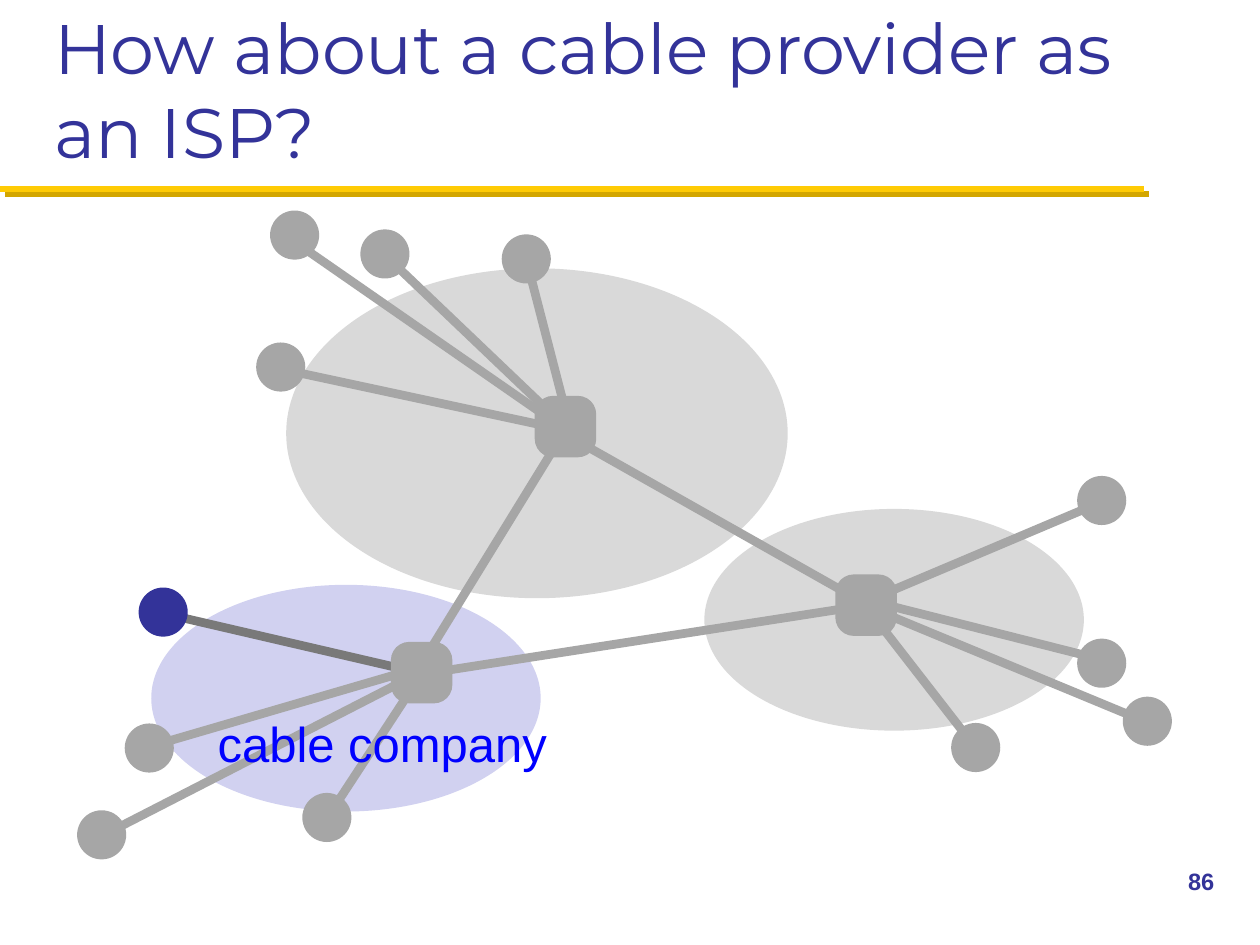
from lxml import etree
from pptx import Presentation
from pptx.dml.color import RGBColor
from pptx.enum.shapes import MSO_CONNECTOR as Link, MSO_SHAPE as Shape
from pptx.enum.text import MSO_ANCHOR as Anchor, PP_ALIGN as Align
from pptx.oxml.ns import qn
from pptx.util import Cm, Pt

NAVY = RGBColor(0x33, 0x33, 0x99)
BLUE = RGBColor(0x00, 0x00, 0xFF)
GOLD = RGBColor(0xFF, 0xCB, 0x05)
GRAY = RGBColor(0xA6, 0xA6, 0xA6)
DARK_GRAY = RGBColor(0x79, 0x79, 0x79)
PALE_GRAY = RGBColor(0xD9, 0xD9, 0xD9)
LAVENDER = RGBColor(0xD1, 0xD1, 0xF0)

HOST_SIZE = 0.99
ROUTER_SIZE = 1.24

NORTH = {
    "box": (5.77, 5.41, 10.11, 6.65), "fill": PALE_GRAY, "router": (5.63, 3.19),
    "hosts": [
        ((-0.11, 1.99), (-0.10, 2.03), (5.49, 3.23), GRAY, GRAY),
        ((0.17, -0.67), (0.18, -0.53), (5.41, 3.10), GRAY, GRAY),
        ((1.99, -0.29), (2.01, -0.25), (5.49, 3.07), GRAY, GRAY),
        ((4.84, -0.19), (4.88, -0.03), (5.74, 3.30), GRAY, GRAY),
    ],
}
EAST = {
    "box": (14.2, 10.26, 7.65, 4.47), "fill": PALE_GRAY, "router": (3.26, 1.94),
    "hosts": [
        ((8.01, -0.17), (7.98, -0.13), (3.15, 1.91), GRAY, GRAY),
        ((8.01, 3.11), (7.95, 3.02), (3.33, 1.85), GRAY, GRAY),
        ((8.93, 4.28), (8.97, 4.32), (3.20, 1.93), GRAY, GRAY),
        ((5.47, 4.81), (5.44, 4.78), (3.33, 2.06), GRAY, GRAY),
    ],
}
CABLE = {
    "box": (3.05, 11.79, 7.85, 4.57), "fill": LAVENDER, "router": (5.45, 1.77),
    "hosts": [
        ((0.24, 0.55), (0.18, 0.56), (5.31, 1.75), NAVY, DARK_GRAY),
        ((-0.04, 3.29), (-0.10, 3.28), (5.31, 1.70), GRAY, GRAY),
        ((-1.0, 5.04), (-1.09, 5.11), (5.26, 1.85), GRAY, GRAY),
        ((3.54, 4.69), (3.63, 4.57), (5.41, 1.85), GRAY, GRAY),
    ],
}
TRUNKS = [
    ((11.23, 8.66), (17.48, 12.19)),
    ((11.40, 8.66), (8.48, 13.41)),
    ((17.53, 12.19), (8.51, 13.59)),
]


def add_line(page, start, end, color, width):
    """Draw a straight line and return its empty effect list."""
    line = page.shapes.add_connector(Link.STRAIGHT, *map(Cm, start + end))
    line.line.color.rgb = color
    line.line.width = Pt(width)
    return etree.SubElement(line._element.spPr, qn("a:effectLst"))


def add_solid(page, kind, box, color):
    """Draw a preset shape with a plain fill and no outline."""
    shape = page.shapes.add_shape(kind, *map(Cm, box))
    shape.shadow.inherit = False
    shape.fill.solid()
    shape.fill.fore_color.rgb = color
    shape.line.fill.background()
    return shape


def add_text(page, box, text, font, size, color, anchor=Anchor.TOP, align=Align.LEFT, bold=False):
    """Place one paragraph of text in a wrapping box."""
    frame = page.shapes.add_textbox(*map(Cm, box)).text_frame
    frame.word_wrap = True
    frame.vertical_anchor = anchor
    para = frame.paragraphs[0]
    para.alignment = align
    span = para.add_run()
    span.text = text
    span.font.name = font
    span.font.size = Pt(size)
    span.font.bold = bold
    span.font.color.rgb = color


def around(center, size):
    """Give the square box of a size about a center."""
    x, y = center
    return x - size / 2, y - size / 2, size, size


def shift(box, point):
    """Move a point from the box's own frame to the page."""
    return box[0] + point[0], box[1] + point[1]


def add_header(page, box):
    """Place the title and the shadowed gold rule under it."""
    left, top, width, height = box
    title_box = (left + 0.84, top + 0.43, width - 1.7, height - 0.63)
    add_text(page, title_box, "How about a cable provider as an ISP?",
             "Montserrat", 40, NAVY, Anchor.BOTTOM)
    rule_y = top + height
    effects = add_line(page, (left, rule_y), (left + 23.06, rule_y), GOLD, 3.5)
    shadow = etree.SubElement(effects, qn("a:outerShdw"), dist="53340", dir="2700000",
                              algn="ctr", rotWithShape="0")
    etree.SubElement(shadow, qn("a:srgbClr"), val="D3A600")


def add_provider(page, box, fill, hosts):
    """Draw a provider's cloud with its hosts and their access links."""
    add_solid(page, Shape.OVAL, box, fill)
    for center, start, end, host_color, link_color in hosts:
        add_line(page, shift(box, start), shift(box, end), link_color, 5)
        add_solid(page, Shape.OVAL, around(shift(box, center), HOST_SIZE), host_color)


def add_network(page, providers):
    """Draw the providers, the trunks between them and their routers."""
    for provider in providers:
        add_provider(page, provider["box"], provider["fill"], provider["hosts"])
    for start, end in TRUNKS:
        add_line(page, start, end, GRAY, 5)
    for provider in providers:
        center = shift(provider["box"], provider["router"])
        router = add_solid(page, Shape.ROUNDED_RECTANGLE, around(center, ROUTER_SIZE), GRAY)
        router.adjustments[0] = 0.3


def main():
    """Build and save the slide."""
    deck = Presentation()
    deck.slide_width, deck.slide_height = Cm(25.4), Cm(19.05)
    page = deck.slides.add_slide(deck.slide_layouts[6])
    add_header(page, (0, 0, 25.4, 3.81))
    add_network(page, [EAST, NORTH, CABLE])
    add_text(page, (3.07, 14.27, 9.27, 1.4), "cable company", "Arial", 28, BLUE,
             Anchor.MIDDLE, Align.CENTER)
    add_text(page, (23.7, 17.35, 1.7, 1.27), "86", "Arial", 13.5, NAVY, bold=True)
    deck.save("out.pptx")


if __name__ == "__main__":
    main()
